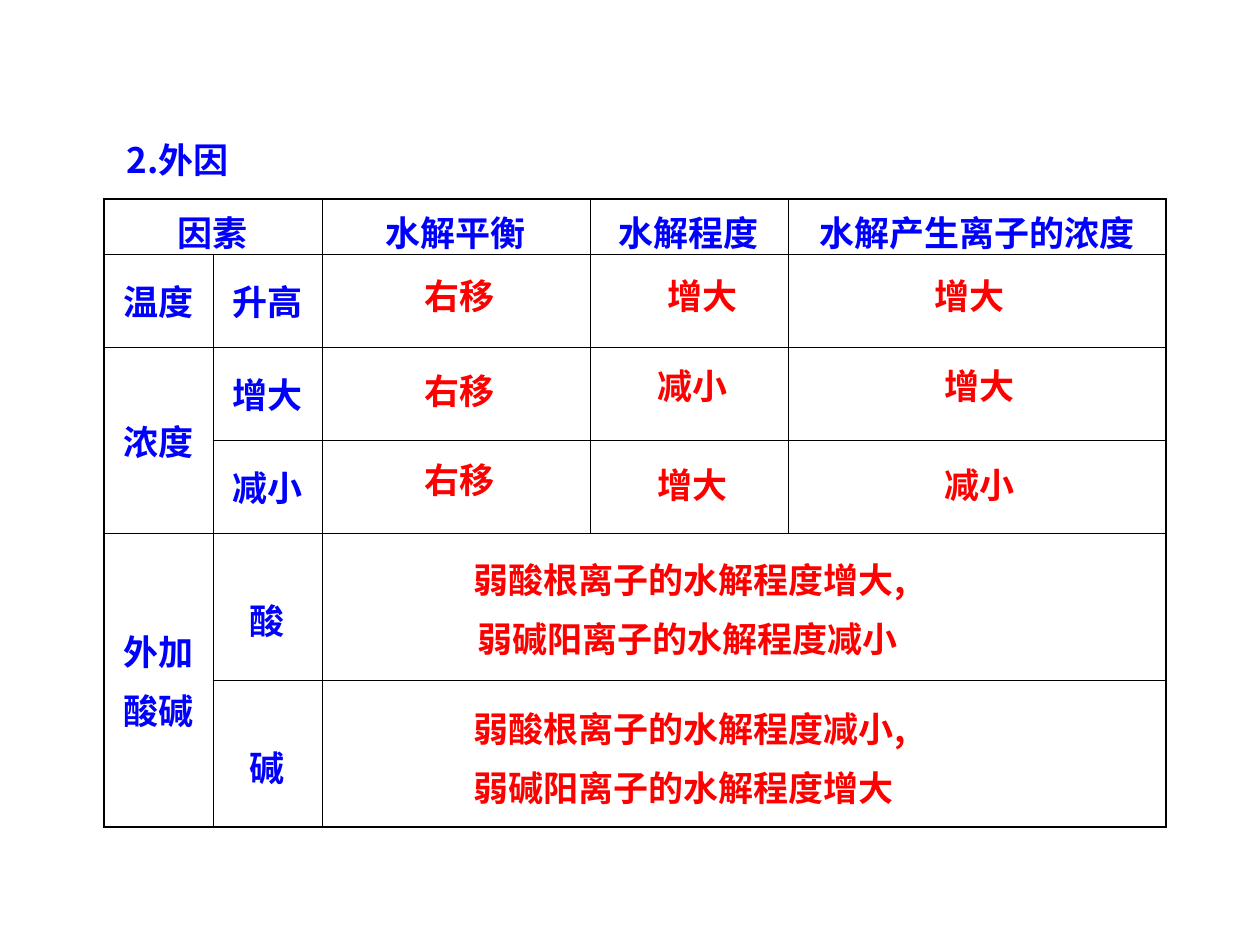
from dataclasses import dataclass

from lxml.etree import SubElement
from pptx import Presentation
from pptx.dml.color import RGBColor
from pptx.enum.text import MSO_ANCHOR, MSO_AUTO_SIZE, PP_ALIGN
from pptx.oxml.ns import qn
from pptx.util import Emu, Inches, Pt

PIXEL = Inches(1) / 126


@dataclass(frozen=True)
class Theme:
    label: RGBColor = RGBColor(0x00, 0x00, 0xFF)
    answer: RGBColor = RGBColor(0xFF, 0x00, 0x00)
    border: str = "000000"
    size: Pt = Pt(20)
    space: Pt = Pt(5)
    outer_line: Pt = Pt(1.08)
    inner_line: Pt = Pt(0.45)
    cell_font: str = "Arial"
    chinese_font: str = "Noto Sans CJK SC"


THEME = Theme()
COLUMNS = [109, 109, 268, 198, 378]
ROWS = [55, 93, 93, 93, 148, 146]
MERGES = [(0, 0, 0, 1), (2, 0, 3, 0), (4, 0, 5, 0), (4, 2, 4, 4), (5, 2, 5, 4)]
LABELS = {
    (0, 0): "因素",
    (0, 2): "水解平衡",
    (0, 3): "水解程度",
    (0, 4): "水解产生离子的浓度",
    (1, 0): "温度",
    (1, 1): "升高",
    (2, 0): "浓度",
    (2, 1): "增大",
    (3, 1): "减小",
    (4, 0): "外加\n酸碱",
    (4, 1): "酸",
    (5, 1): "碱",
}
LOOSE_LABELS = {"酸", "碱"}
ANSWERS = [
    ("右移", 412, 268, 129),
    ("增大", 655, 268, 103),
    ("增大", 922, 268, 103),
    ("右移", 412, 363, 139),
    ("减小", 645, 358, 103),
    ("增大", 932, 358, 103),
    ("右移", 412, 452, 129),
    ("增大", 645, 457, 103),
    ("减小", 932, 457, 103),
    ("弱酸根离子的水解程度增大,", 461, 552, 556),
    ("弱碱阳离子的水解程度减小", 465, 611, 493),
    ("弱酸根离子的水解程度减小,", 461, 701, 559),
    ("弱碱阳离子的水解程度增大", 461, 760, 496),
]


def px(length):
    return Emu(round(length * PIXEL))


def style_paragraph(paragraph, color, font_name):
    font = paragraph.font
    font.size = THEME.size
    font.bold = True
    font.color.rgb = color
    font.name = font_name
    properties = paragraph._p.get_or_add_pPr().find(qn("a:defRPr"))
    SubElement(properties, qn("a:ea"), typeface=THEME.chinese_font)


def add_text(slide, text, left, top, width, height, color, anchor):
    shape = slide.shapes.add_textbox(px(left), px(top), px(width), px(height))
    frame = shape.text_frame
    frame.word_wrap = True
    frame.auto_size = MSO_AUTO_SIZE.SHAPE_TO_FIT_TEXT
    frame.vertical_anchor = anchor
    frame.text = text
    paragraph = frame.paragraphs[0]
    style_paragraph(paragraph, color, THEME.chinese_font)
    return paragraph


def set_borders(cell, row, column):
    edges = {
        "a:lnL": column == 0,
        "a:lnR": column + cell.span_width == len(COLUMNS),
        "a:lnT": row == 0,
        "a:lnB": row + cell.span_height == len(ROWS),
    }
    properties = cell._tc.get_or_add_tcPr()
    for tag, is_outer in edges.items():
        width = THEME.outer_line if is_outer else THEME.inner_line
        line = SubElement(properties, qn(tag), w=str(int(width)))
        fill = SubElement(line, qn("a:solidFill"))
        SubElement(fill, qn("a:srgbClr"), val=THEME.border)


def fill_cell(cell, text):
    cell.text = text
    cell.vertical_anchor = MSO_ANCHOR.MIDDLE
    for index, paragraph in enumerate(cell.text_frame.paragraphs):
        paragraph.alignment = PP_ALIGN.CENTER
        if index:
            paragraph.space_before = THEME.space
        if text in LOOSE_LABELS:
            paragraph.line_spacing = 1.5
        style_paragraph(paragraph, THEME.label, THEME.cell_font)


def add_factor_table(slide):
    frame = slide.shapes.add_table(
        len(ROWS), len(COLUMNS), px(104), px(199), px(sum(COLUMNS)), px(sum(ROWS))
    )
    table = frame.table
    table.first_row = False
    table.horz_banding = False
    for column, width in zip(table.columns, COLUMNS):
        column.width = px(width)
    for row, height in zip(table.rows, ROWS):
        row.height = px(height)
    for top, left, bottom, right in MERGES:
        table.cell(top, left).merge(table.cell(bottom, right))
    for row in range(len(ROWS)):
        for column in range(len(COLUMNS)):
            cell = table.cell(row, column)
            set_borders(cell, row, column)
            cell.fill.background()
            if (row, column) in LABELS:
                fill_cell(cell, LABELS[row, column])


def main():
    presentation = Presentation()
    presentation.slide_width = px(1260)
    presentation.slide_height = px(945)
    slide = presentation.slides.add_slide(presentation.slide_layouts[6])
    title = add_text(slide, "2.外因", 114, 111, 1022, 76, THEME.label, MSO_ANCHOR.TOP)
    title.alignment = PP_ALIGN.JUSTIFY
    title.line_spacing = 1.5
    add_factor_table(slide)
    for text, left, top, width in ANSWERS:
        add_text(slide, text, left, top, width, 55, THEME.answer, MSO_ANCHOR.MIDDLE)
    presentation.save("out.pptx")


if __name__ == "__main__":
    main()
